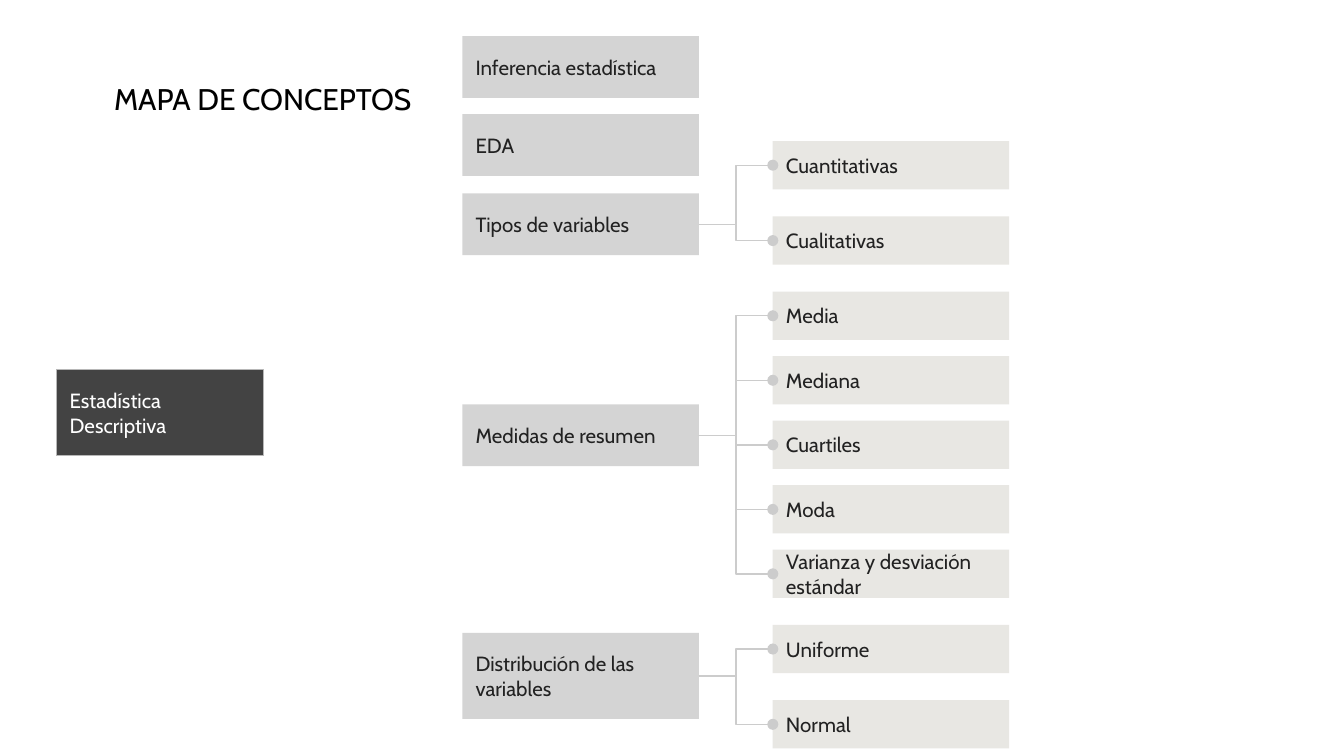
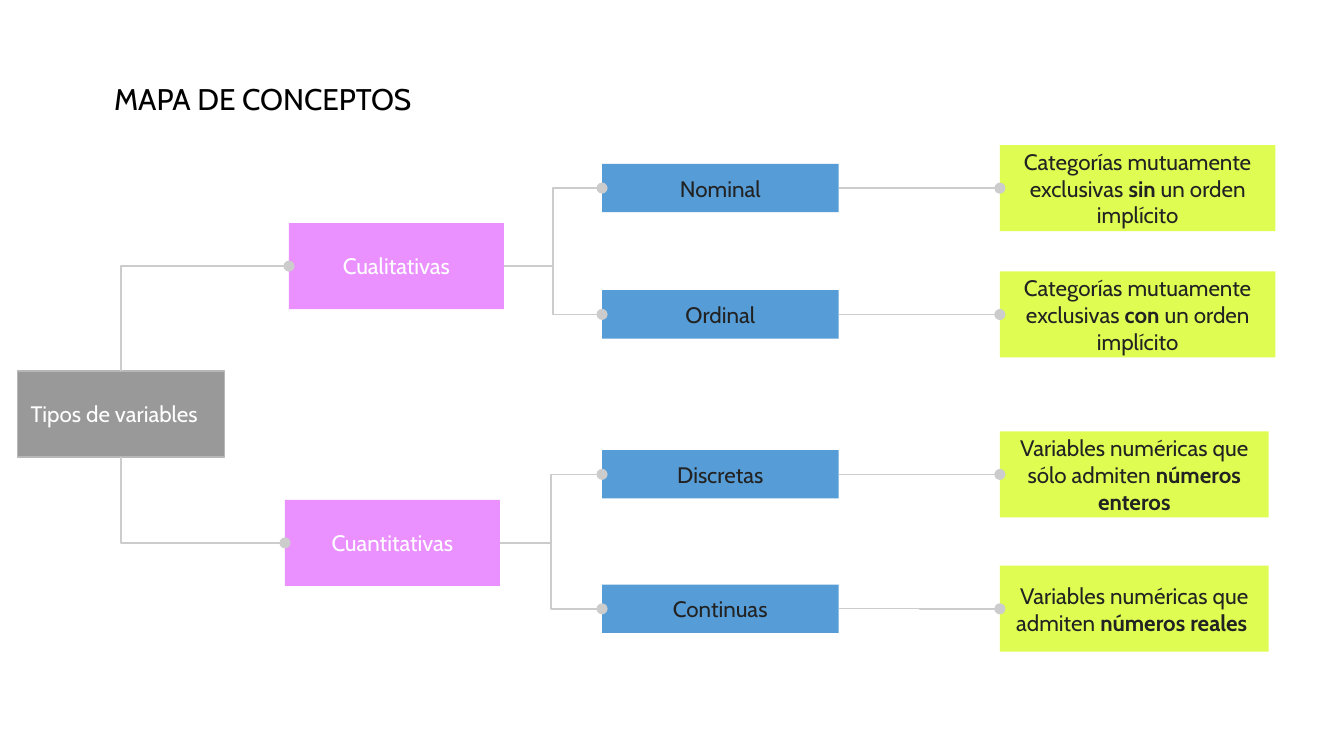
from dataclasses import dataclass

from lxml import etree
from pptx import Presentation
from pptx.dml.color import RGBColor
from pptx.enum.shapes import MSO_CONNECTOR, MSO_SHAPE
from pptx.enum.text import MSO_ANCHOR, MSO_AUTO_SIZE, PP_ALIGN
from pptx.oxml.ns import qn
from pptx.util import Inches, Pt

ELBOW = MSO_CONNECTOR.ELBOW
RECTANGLE = MSO_SHAPE.RECTANGLE
MIDDLE = MSO_ANCHOR.MIDDLE
GROW = MSO_AUTO_SIZE.SHAPE_TO_FIT_TEXT
LEFT, CENTER = PP_ALIGN.LEFT, PP_ALIGN.CENTER
LEFT_SIDE, RIGHT_SIDE = 1, 3


@dataclass(frozen=True)
class Theme:
    """Colours, font and sizes shared by both slides."""
    font: str = "Cabin"
    title_size: float = 16
    outline_size: float = 11
    types_size: float = 12
    line_width: float = 0.75
    inset: float = 0.1
    black: str = "000000"
    ink: str = "222222"
    white: str = "FFFFFF"
    line: str = "CCCCCC"
    border: str = "B7B7B7"
    dark: str = "434343"
    gray: str = "999999"
    branch: str = "D4D4D4"
    leaf: str = "E8E7E3"
    pink: str = "EA90FF"
    blue: str = "569CD6"
    lime: str = "DEFC52"


THEME = Theme()

TOPICS = [
    (0.27, 0.46, "Inferencia estadística", 0, 0, []),
    (0.85, 0.46, "EDA", 0, 0, []),
    (1.44, 0.46, "Tipos de variables", 1.05, 0.56, ["Cuantitativas", "Cualitativas"]),
    (3.01, 0.46, "Medidas de resumen", 2.17, 0.48,
     ["Media", "Mediana", "Cuartiles", "Moda", "Varianza y desviación estándar"]),
    (4.71, 0.64, "Distribución de las variables", 4.65, 0.56, ["Uniforme", "Normal"]),
]

FAMILIES = [
    (2.15, 1.66, "Cualitativas", 2.05, [
        (1.22, "Nominal", "Categorías mutuamente exclusivas *sin* un orden implícito"),
        (2.16, "Ordinal", "Categorías mutuamente exclusivas *con* un orden implícito"),
    ]),
    (2.12, 3.72, "Cuantitativas", 2, [
        (3.35, "Discretas", "Variables numéricas que sólo admiten *números enteros*"),
        (4.35, "Continuas", "Variables numéricas que admiten *números reales *"),
    ]),
]


def write_text(shape, text, size, color, align=LEFT):
    """Fill a shape with one paragraph, bold between asterisks."""
    frame = shape.text_frame
    frame.word_wrap = True
    frame.margin_left = frame.margin_right = Inches(THEME.inset)
    frame.margin_top = frame.margin_bottom = Inches(THEME.inset)
    paragraph = frame.paragraphs[0]
    paragraph.alignment = align
    for index, part in enumerate(text.split("*")):
        if part:
            run = paragraph.add_run()
            run.text = part
            run.font.name = THEME.font
            run.font.size = Pt(size)
            run.font.color.rgb = RGBColor.from_string(color)
            run.font.bold = index % 2 == 1


def add_title(slide):
    """Add the heading shared by the slides."""
    title = slide.shapes.add_textbox(Inches(0.75), Inches(0.5), Inches(2.69), Inches(0.47))
    write_text(title, "MAPA DE CONCEPTOS", THEME.title_size, THEME.black)
    title.text_frame.auto_size = GROW


def add_box(slide, area, text, fill, size, color=THEME.ink, align=LEFT, border=None):
    """Add a filled concept box."""
    box = slide.shapes.add_shape(RECTANGLE, *map(Inches, area))
    box.shadow.inherit = False
    box.fill.solid()
    box.fill.fore_color.rgb = RGBColor.from_string(fill)
    if border:
        box.line.color.rgb = RGBColor.from_string(border)
        box.line.width = Pt(THEME.line_width)
    else:
        box.line.fill.background()
    write_text(box, text, size, color, align)
    box.text_frame.vertical_anchor = MIDDLE
    return box


def add_link(slide, begin_x, begin_y, end_x, end_y):
    """Add an elbow line that ends in a dot."""
    link = slide.shapes.add_connector(ELBOW, begin_x, begin_y, end_x, end_y)
    link.line.color.rgb = RGBColor.from_string(THEME.line)
    link.line.width = Pt(THEME.line_width)
    properties = link._element.spPr
    outline = properties.find(qn("a:ln"))
    etree.SubElement(outline, qn("a:tailEnd"), type="oval", w="med", len="med")
    etree.SubElement(properties, qn("a:effectLst"))
    return link


def link_sideways(slide, parent, child):
    """Join the right side of a box to the left side of another."""
    link = add_link(slide, 0, 0, 0, 0)
    link.begin_connect(parent, RIGHT_SIDE)
    link.end_connect(child, LEFT_SIDE)


def link_around_corner(slide, parent, child):
    """Run from the top or bottom of a box to the left side of another."""
    start_x = parent.left + parent.width // 2
    end_y = child.top + child.height // 2
    start_y = parent.top if end_y < parent.top else parent.top + parent.height
    across, down = child.left - start_x, end_y - start_y
    center_x, center_y = (start_x + child.left) // 2, (start_y + end_y) // 2
    link = add_link(slide, center_x + down // 2, center_y - across // 2,
                    center_x - down // 2, center_y + across // 2)
    properties = link._element.spPr
    properties.find(qn("a:prstGeom")).set("prst", "bentConnector2")
    properties.find(qn("a:xfrm")).set("rot", str(270 * 60000))


def build_outline(slide):
    """Build the map of descriptive statistics."""
    size = THEME.outline_size
    add_box(slide, (0.42, 2.75, 1.54, 0.64), "Estadística Descriptiva", THEME.dark,
            size, THEME.white, border=THEME.border)
    for top, height, name, first_top, pitch, leaves in TOPICS:
        topic = add_box(slide, (3.44, top, 1.76, height), name, THEME.branch, size)
        for index, leaf_name in enumerate(leaves):
            area = (5.75, first_top + index * pitch, 1.76, 0.36)
            leaf = add_box(slide, area, leaf_name, THEME.leaf, size)
            link_sideways(slide, topic, leaf)
    add_title(slide)


def build_variable_types(slide):
    """Build the map of variable types."""
    size = THEME.types_size
    root = add_box(slide, (0.13, 2.76, 1.54, 0.64), "Tipos de variables", THEME.gray,
                   size, THEME.white, border=THEME.border)
    for left, top, name, definition_width, kinds in FAMILIES:
        family = add_box(slide, (left, top, 1.6, 0.64), name, THEME.pink,
                         size, THEME.white, CENTER)
        link_around_corner(slide, root, family)
        for kind_top, kind_name, meaning in kinds:
            kind = add_box(slide, (4.48, kind_top, 1.76, 0.36), kind_name, THEME.blue,
                           size, align=CENTER)
            definition = add_box(slide, (7.44, kind_top - 0.14, definition_width, 0.64),
                                 meaning, THEME.lime, size, align=CENTER)
            link_sideways(slide, family, kind)
            link_sideways(slide, kind, definition)
    add_title(slide)


def main():
    """Create and save the presentation."""
    presentation = Presentation()
    presentation.slide_width = Inches(10)
    presentation.slide_height = presentation.slide_width * 9 // 16
    blank = presentation.slide_layouts[6]
    for build in (build_outline, build_variable_types):
        build(presentation.slides.add_slide(blank))
    presentation.save("out.pptx")


if __name__ == "__main__":
    main()
